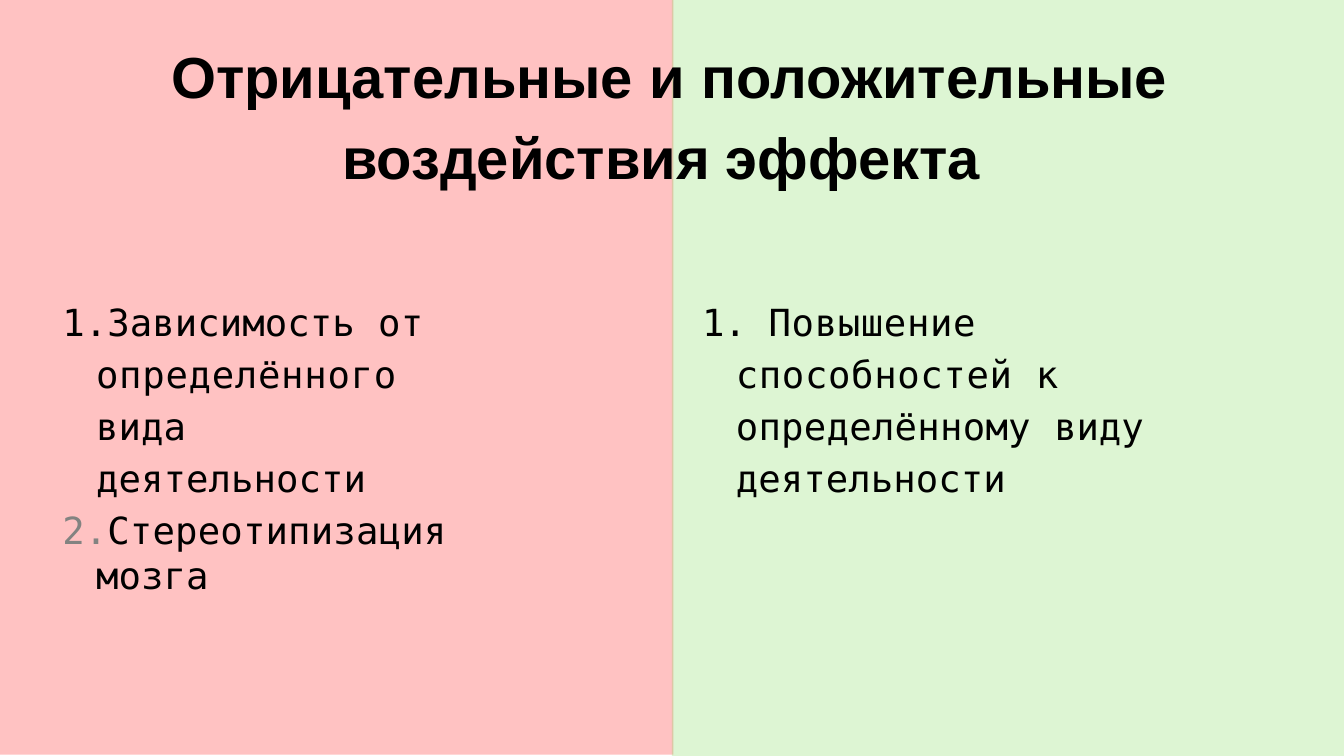
from lxml import etree
from pptx import Presentation
from pptx.dml.color import RGBColor
from pptx.enum.shapes import MSO_SHAPE
from pptx.enum.text import MSO_ANCHOR, MSO_AUTO_SIZE, PP_ALIGN
from pptx.oxml.ns import qn
from pptx.util import Inches, Pt

RECTANGLE = MSO_SHAPE.RECTANGLE
TOP, LEFT, NO_FIT = MSO_ANCHOR.TOP, PP_ALIGN.LEFT, MSO_AUTO_SIZE.NONE

BLACK = RGBColor(0x00, 0x00, 0x00)
GREY = RGBColor(0x83, 0x83, 0x81)
RED = RGBColor(0xFF, 0x16, 0x16)
GREEN = RGBColor(0x7D, 0xD9, 0x57)
TITLE_FONT, LIST_FONT = "Arial", "DejaVu Sans Mono"
TITLE_SIZE, LIST_SIZE = 62, 40

# Content: a run is (text, letter spacing in points)
TITLE = [("Отрицательные ", 0), ("и ", 0.1), ("положительные", 0)]
TITLE_END = [("воздействия эффекта", 0)]
# A list item is (runs, line spacing, space before, number colour or None)
NEGATIVE = [
    ([("Зависимость ", 0.1), ("от ", 0.3), ("определённого ", 0.8),
      ("вида деятельности", 0.1)], 1.16, 1, BLACK),
    ([("Стереотипизация ", 0.2), ("мозга", 0.1)], 1.0, 7.5, GREY),
]
POSITIVE = [
    ([("1. ", -0.5), ("Повышение способностей ", 0.7), ("к ", 0.7),
      ("определённому ", 0.3), ("виду ", -0.1), ("деятельности", 0.1)],
     1.16, 1, None),
]
# Halves: left, width, height, colour
HALVES = [(0, 10.02, 11.23, RED), (10, 10, 11.25, GREEN)]


def place(shape, left, top, width, height, inset_top, inset_right=0):
    shape.left, shape.top = Inches(left), Inches(top)
    shape.width, shape.height = Inches(width), Inches(height)
    frame = shape.text_frame
    frame.word_wrap, frame.auto_size = True, NO_FIT
    frame.vertical_anchor = TOP
    frame.margin_left = frame.margin_bottom = 0
    frame.margin_top, frame.margin_right = Inches(inset_top), Inches(inset_right)
    return frame


def add_runs(paragraph, runs, font, size, bold=False):
    paragraph.alignment = LEFT
    for text, spacing in runs:
        run = paragraph.add_run()
        run.text = text
        run.font.name, run.font.size, run.font.bold = font, Pt(size), bold
        run.font.color.rgb = BLACK
        run.font._element.set("spc", str(round(spacing * 100)))


def fill_title(frame, runs):
    paragraph = frame.paragraphs[0]
    paragraph.line_spacing, paragraph.space_before = 1.0, Pt(1.1)
    add_runs(paragraph, runs, TITLE_FONT, TITLE_SIZE, bold=True)


def set_number(properties, color):
    if color is None:
        etree.SubElement(properties, qn("a:buNone"))
        return
    number_color = etree.SubElement(properties, qn("a:buClr"))
    etree.SubElement(number_color, qn("a:srgbClr"), val=str(color))
    number_font = etree.SubElement(properties, qn("a:buFont"))
    number_font.set("typeface", LIST_FONT)
    etree.SubElement(properties, qn("a:buAutoNum"), type="arabicPeriod")


def fill_list(frame, items):
    for index, (runs, line_spacing, space_before, color) in enumerate(items):
        paragraph = frame.add_paragraph() if index else frame.paragraphs[0]
        paragraph.line_spacing = line_spacing
        paragraph.space_before = Pt(space_before)
        add_runs(paragraph, runs, LIST_FONT, LIST_SIZE)
        properties = paragraph._p.get_or_add_pPr()
        properties.set("marL", str(Inches(0.52)))
        properties.set("indent", str(Inches(-0.5)))
        set_number(properties, color)


def add_half(slide, index, left, width, height, color):
    half = slide.shapes.add_shape(
        RECTANGLE, Inches(left), 0, Inches(width), Inches(height))
    half.shadow.inherit = False
    half.fill.solid()
    half.fill.fore_color.rgb = color
    half.line.fill.background()
    color_element = half._element.spPr.find(".//" + qn("a:srgbClr"))
    etree.SubElement(color_element, qn("a:alpha"), val="26000")
    # Behind the placeholders
    slide.shapes._spTree.insert(2 + index, half._element)


def main():
    presentation = Presentation()
    presentation.slide_width = Inches(20)
    presentation.slide_height = Inches(11.25)
    slide = presentation.slides.add_slide(presentation.slide_layouts[3])
    title, negative, positive = slide.placeholders

    # Coloured halves
    for index, half in enumerate(HALVES):
        add_half(slide, index, *half)

    # Two-line heading
    fill_title(place(title, 2.55, 0.59, 14.9, 1.06, 0.02), TITLE)
    title_end = slide.shapes.add_textbox(0, 0, 0, 0)
    fill_title(place(title_end, 5.09, 1.79, 9.58, 1.06, 0.02), TITLE_END)

    # Lists
    fill_list(place(negative, 0.91, 4.34, 6.77, 3.11, 0.01, 0.6), NEGATIVE)
    fill_list(place(positive, 10.43, 4.34, 7.91, 2.34, 0.01), POSITIVE)

    presentation.save("out.pptx")


if __name__ == "__main__":
    main()
